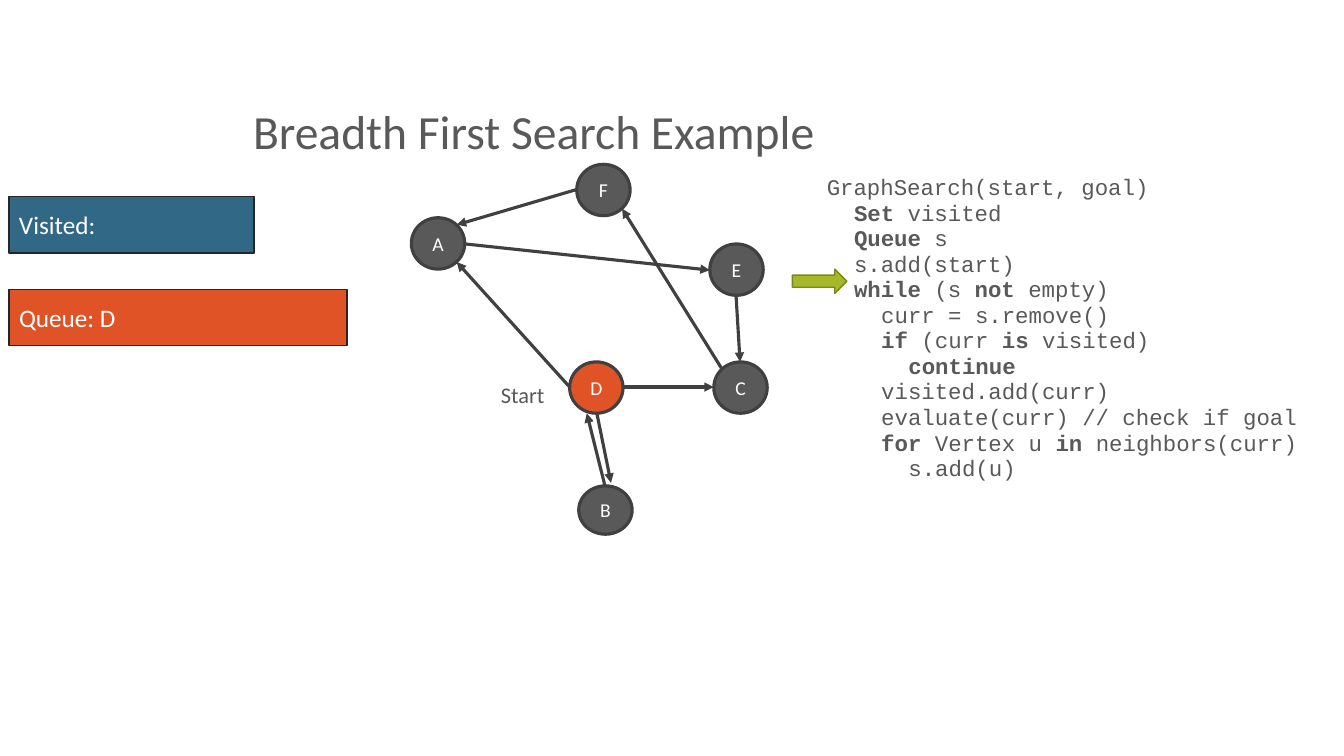
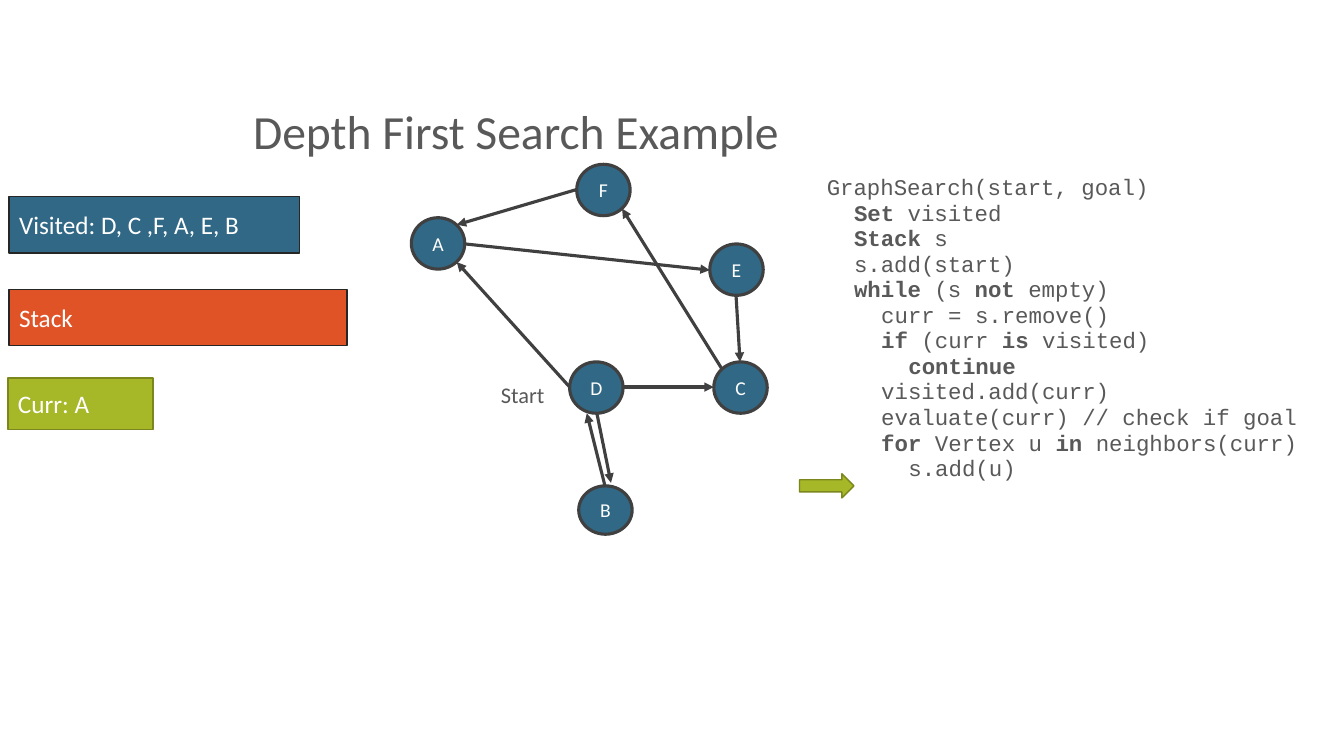
import math
from dataclasses import dataclass
from typing import Any, Optional

import pptx
import pptx.dml.color
import pptx.enum.shapes
import pptx.enum.text
import pptx.oxml.ns
import pptx.shapes.autoshape
import pptx.shapes.base
import pptx.shapes.connector
import pptx.slide
import pptx.text.text
import pptx.util
from lxml import etree

EMU_PER_PX = 9144
SLIDE_WIDTH, SLIDE_HEIGHT = 1333, 750
INDENT_BASE, INDENT_STEP = 5, 27
COLORS = {
    "text": "595959",
    "white": "FFFFFF",
    "edge": "404040",
    "outline": "262626",
    "blue": "316886",
    "orange": "DF5327",
    "green": "A6B727",
    "green_outline": "7B871D",
}
SHAPES = pptx.enum.shapes.MSO_SHAPE
ALIGN = pptx.enum.text.PP_ALIGN
ANCHOR = pptx.enum.text.MSO_ANCHOR
TITLE_FONT = {"name": "Calibri", "size": pptx.util.Pt(34)}
CODE_FONT = {"name": "Courier New", "size": pptx.util.Pt(16)}
NODE_FONT = {"name": "Calibri", "size": pptx.util.Pt(14)}
START_FONT = {"name": "Calibri", "size": pptx.util.Pt(16)}
BAR_FONT = {"name": "Calibri", "size": pptx.util.Pt(18)}
PLACEHOLDER_FRAME = {"auto_size": pptx.enum.text.MSO_AUTO_SIZE.NONE, "word_wrap": True}
TITLE_PARAGRAPH = {"alignment": ALIGN.LEFT, "line_spacing": 0.9}
CODE_PARAGRAPH = {
    "alignment": ALIGN.LEFT,
    "line_spacing": 0.95,
    "space_before": pptx.util.Pt(0),
    "space_after": pptx.util.Pt(0),
}
TOP, LEFT, BOTTOM, RIGHT = 0, 2, 4, 6
TOP_LEFT, BOTTOM_RIGHT, TOP_RIGHT = 1, 5, 7


@dataclass(frozen=True)
class Box:
    left: int
    top: int
    width: int
    height: int

    def site(self, index: int) -> tuple[int, int]:
        angle = math.radians(90 + 45 * index)
        return (
            round(self.left + self.width / 2 * (1 + math.cos(angle))),
            round(self.top + self.height / 2 * (1 - math.sin(angle))),
        )


@dataclass(frozen=True)
class End:
    node: str
    site: Optional[int] = None
    point: tuple[int, int] = (0, 0)


@dataclass(frozen=True)
class Bar:
    text: str
    box: Box
    fill: str
    outline: str = "outline"


@dataclass(frozen=True)
class Search:
    title: str
    container: str
    node_fill: str
    start_fill: str
    pointer: Box
    bars: tuple[Bar, ...]


TITLE_BOX = Box(241, 33, 1025, 131)
CODE_BOX = Box(805, 169, 547, 450)
START_BOX = Box(487, 373, 79, 37)
NODES = {
    "A": Box(408, 216, 53, 51),
    "C": Box(708, 359, 53, 51),
    "D": Box(565, 359, 53, 51),
    "E": Box(704, 242, 53, 51),
    "F": Box(572, 163, 53, 51),
    "B": Box(574, 482, 53, 48),
}
EDGES = (
    (End("D", BOTTOM), End("B", point=(606, 479))),
    (End("F", LEFT), End("A", TOP_RIGHT)),
    (End("A", RIGHT), End("E", LEFT)),
    (End("E", BOTTOM), End("C", TOP)),
    (End("D", RIGHT), End("C", LEFT)),
    (End("D", LEFT), End("A", BOTTOM_RIGHT)),
    (End("B", TOP), End("D", point=(582, 410))),
    (End("C", TOP_LEFT), End("F", BOTTOM_RIGHT)),
)
CODE_LINES = (
    (0, "GraphSearch(start, goal)"),
    (1, "*Set* visited"),
    (1, "*{container}* s"),
    (1, "s.add(start)"),
    (1, "*while* (s *not* empty)"),
    (2, "curr = s.remove()"),
    (2, "*if* (curr *is* visited)"),
    (3, "*continue*"),
    (2, "visited.add(curr)"),
    (2, "evaluate(curr) // check if goal"),
    (2, "*for* Vertex u *in* neighbors(curr)"),
    (3, "s.add(u)"),
)
SEARCHES = (
    Search(
        "Breadth First Search Example", "Queue", "text", "orange", Box(786, 267, 54, 24),
        (
            Bar("Visited:", Box(9, 195, 243, 56), "blue"),
            Bar("Queue: D", Box(9, 287, 335, 56), "orange"),
        ),
    ),
    Search(
        "Depth First Search Example", "Stack", "blue", "blue", Box(793, 470, 54, 24),
        (
            Bar("Visited: D, C ,F, A, E, B", Box(9, 195, 288, 56), "blue"),
            Bar("Curr: A", Box(8, 375, 144, 51), "green", "green_outline"),
            Bar("Stack", Box(9, 287, 335, 56), "orange"),
        ),
    ),
)


def px(value: int) -> pptx.util.Emu:
    return pptx.util.Emu(value * EMU_PER_PX)


def bounds(box: Box) -> dict[str, pptx.util.Emu]:
    return {name: px(getattr(box, name)) for name in ("left", "top", "width", "height")}


def apply_format(target: Any, values: dict[str, Any]) -> None:
    for name, value in values.items():
        setattr(target, name, value)


def rgb(color: str) -> pptx.dml.color.RGBColor:
    return pptx.dml.color.RGBColor.from_string(COLORS[color])


def add_run(
    paragraph: pptx.text.text._Paragraph, text: str, font: dict[str, Any],
    color: str = "text", bold: bool = False,
) -> None:
    run = paragraph.add_run()
    run.text = text
    apply_format(run.font, {**font, "bold": bold})
    run.font.color.rgb = rgb(color)


def add_title(slide: pptx.slide.Slide, text: str) -> None:
    title = slide.shapes.title
    apply_format(title, bounds(TITLE_BOX))
    apply_format(title.text_frame, {**PLACEHOLDER_FRAME, "vertical_anchor": ANCHOR.BOTTOM})
    paragraph = title.text_frame.paragraphs[0]
    apply_format(paragraph, TITLE_PARAGRAPH)
    add_run(paragraph, text, TITLE_FONT)


def add_code(slide: pptx.slide.Slide, container: str) -> None:
    body = slide.placeholders[1]
    apply_format(body, bounds(CODE_BOX))
    frame = body.text_frame
    apply_format(frame, {**PLACEHOLDER_FRAME, "vertical_anchor": ANCHOR.TOP})
    for index, (level, line) in enumerate(CODE_LINES):
        paragraph = frame.add_paragraph() if index else frame.paragraphs[0]
        apply_format(paragraph, CODE_PARAGRAPH)
        properties = paragraph._p.get_or_add_pPr()
        properties.set("marL", str(px(INDENT_BASE + level * INDENT_STEP)))
        properties.set("indent", "0")
        etree.SubElement(properties, pptx.oxml.ns.qn("a:buNone"))
        for position, part in enumerate(line.format(container=container).split("*")):
            if part:
                add_run(paragraph, part, CODE_FONT, bold=position % 2 == 1)


def add_shape(
    slide: pptx.slide.Slide, kind: SHAPES, box: Box, fill: str, outline: str, weight: float
) -> pptx.shapes.autoshape.Shape:
    shape = slide.shapes.add_shape(kind, **bounds(box))
    shape.shadow.inherit = False
    shape.fill.solid()
    shape.fill.fore_color.rgb = rgb(fill)
    shape.line.color.rgb = rgb(outline)
    shape.line.width = pptx.util.Pt(weight)
    return shape


def add_label(
    shape: pptx.shapes.autoshape.Shape, text: str, font: dict[str, Any], alignment: ALIGN
) -> None:
    shape.text_frame.vertical_anchor = ANCHOR.MIDDLE
    paragraph = shape.text_frame.paragraphs[0]
    paragraph.alignment = alignment
    add_run(paragraph, text, font, "white")


def end_point(end: End) -> tuple[int, int]:
    return end.point if end.site is None else NODES[end.node].site(end.site)


def add_edge(
    slide: pptx.slide.Slide, nodes: dict[str, pptx.shapes.base.BaseShape], source: End, target: End
) -> None:
    points = (*end_point(source), *end_point(target))
    connector = slide.shapes.add_connector(
        pptx.enum.shapes.MSO_CONNECTOR.STRAIGHT, *(px(value) for value in points)
    )
    connector.line.color.rgb = rgb("edge")
    connector.line.width = pptx.util.Pt(2.25)
    qn = pptx.oxml.ns.qn
    etree.SubElement(connector.line._get_or_add_ln(), qn("a:tailEnd"), type="triangle")
    etree.SubElement(connector._element.spPr, qn("a:effectLst"))
    joints = connector._element.find(".//" + qn("p:cNvCxnSpPr"))
    for tag, end in (("a:stCxn", source), ("a:endCxn", target)):
        if end.site is not None:
            etree.SubElement(
                joints, qn(tag), id=str(nodes[end.node].shape_id), idx=str(end.site)
            )


def add_graph(slide: pptx.slide.Slide, search: Search) -> None:
    nodes = {}
    for name, box in NODES.items():
        fill = search.start_fill if name == "D" else search.node_fill
        nodes[name] = add_shape(slide, SHAPES.OVAL, box, fill, "edge", 2.25)
        add_label(nodes[name], name, NODE_FONT, ALIGN.CENTER)
    for source, target in EDGES:
        add_edge(slide, nodes, source, target)
    start = slide.shapes.add_textbox(**bounds(START_BOX))
    start.text_frame.word_wrap = True
    add_run(start.text_frame.paragraphs[0], "Start", START_FONT)


def add_search(presentation: Any, search: Search) -> None:
    slide = presentation.slides.add_slide(presentation.slide_layouts[1])
    add_title(slide, search.title)
    add_code(slide, search.container)
    add_graph(slide, search)
    add_shape(slide, SHAPES.RIGHT_ARROW, search.pointer, "green", "green_outline", 1)
    for bar in search.bars:
        shape = add_shape(slide, SHAPES.RECTANGLE, bar.box, bar.fill, bar.outline, 1)
        add_label(shape, bar.text, BAR_FONT, ALIGN.LEFT)


def main() -> None:
    presentation = pptx.Presentation()
    apply_format(
        presentation, {"slide_width": px(SLIDE_WIDTH), "slide_height": px(SLIDE_HEIGHT)}
    )
    for search in SEARCHES:
        add_search(presentation, search)
    presentation.save("out.pptx")


if __name__ == "__main__":
    main()
